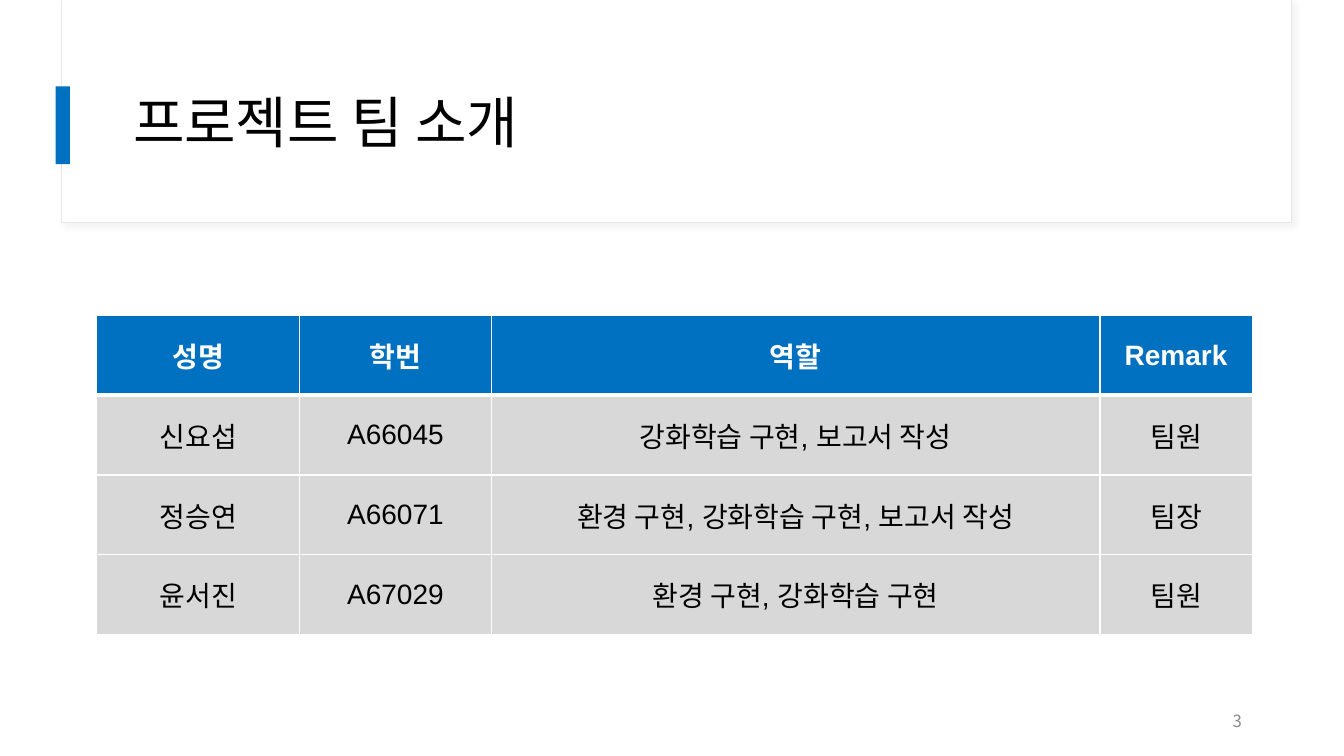
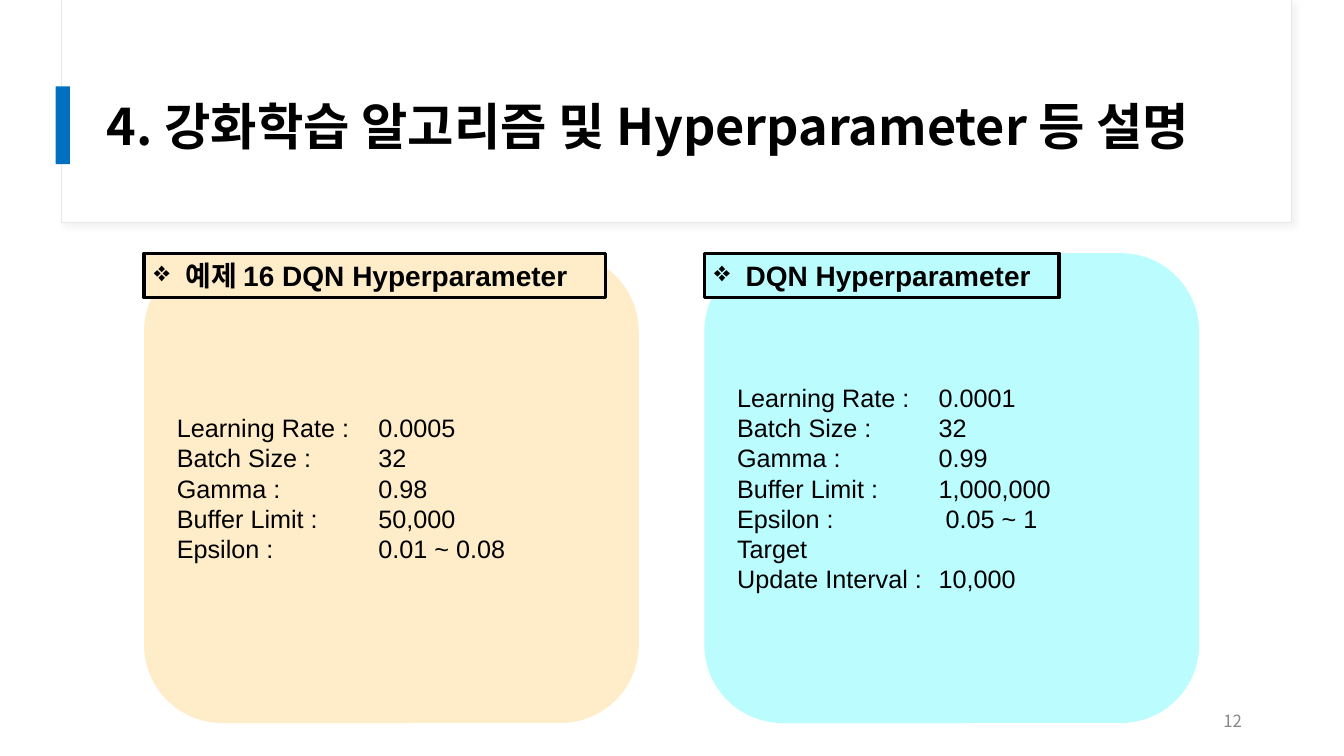
from lxml.etree import SubElement
from pptx import Presentation
from pptx.dml.color import RGBColor
from pptx.enum.shapes import MSO_SHAPE
from pptx.enum.text import MSO_ANCHOR, MSO_AUTO_SIZE, PP_ALIGN
from pptx.oxml import parse_xml
from pptx.oxml.ns import nsdecls, qn
from pptx.util import Cm, Pt

BLUE, WHITE, BLACK = "0070C0", "FFFFFF", "000000"
GREY, EDGE, NUMBER_GREY = "D8D8D8", "E8E8E8", "888888"
CREAM, AQUA = "FFEDCA", "BBFDFF"
HEADING_FONT, BODY_FONT = "Noto Sans CJK KR", "Arial"


# Shared helpers
def color(hex_code):
    return RGBColor.from_string(hex_code)


def cm_box(box):
    return [Cm(length) for length in box]


def place(shape, box):
    shape.left, shape.top, shape.width, shape.height = cm_box(box)


def style(paragraph, size, ink=BLACK, font=BODY_FONT, bold=False, align=PP_ALIGN.LEFT):
    paragraph.alignment = align
    for run in paragraph.runs:
        run.font.size, run.font.name, run.font.bold = Pt(size), font, bold
        run.font.color.rgb = color(ink)
        east_asian = SubElement(run.font._element, qn("a:ea"))
        east_asian.set("typeface", HEADING_FONT)


def add_block(slide, kind, box, fill, line=None, line_width=0.75):
    block = slide.shapes.add_shape(kind, *cm_box(box))
    block.shadow.inherit = False
    block.fill.solid()
    block.fill.fore_color.rgb = color(fill)
    if line:
        block.line.color.rgb = color(line)
        block.line.width = Pt(line_width)
    else:
        block.line.fill.background()
    return block


# Header panel and accent bar, kept on the layout behind every title
def add_header(layout, slide):
    panel = add_block(slide, MSO_SHAPE.RECTANGLE, (1.55, 0, 31.01, 5.61), WHITE, EDGE)
    effects = panel.element.spPr.find(qn("a:effectLst"))
    effects.append(parse_xml(
        f'<a:outerShdw {nsdecls("a")} blurRad="{Pt(4)}" dist="{Pt(3)}" dir="2700000" '
        f'algn="tl" rotWithShape="0"><a:srgbClr val="{GREY}">'
        '<a:alpha val="30000"/></a:srgbClr></a:outerShdw>'))
    accent = add_block(slide, MSO_SHAPE.RECTANGLE, (1.4, 2.18, 0.36, 1.96), BLUE)
    for number, part in enumerate((panel, accent), start=101):
        part.element.nvSpPr.cNvPr.set("id", str(number))
        layout.shapes.element.append(part.element)


def add_title(slide, text, left, width, size, bold=False, spacing=1.0):
    title = slide.shapes.title
    place(title, (left, 1.52, width, 3.28))
    frame = title.text_frame
    frame.text = text
    frame.auto_size = MSO_AUTO_SIZE.NONE
    frame.vertical_anchor = MSO_ANCHOR.MIDDLE
    style(frame.paragraphs[0], size, font=HEADING_FONT, bold=bold)
    frame.paragraphs[0].line_spacing = spacing


def add_page_number(slide, number):
    frame = slide.shapes.add_textbox(*cm_box((23.93, 17.65, 7.62, 1.02))).text_frame
    frame.word_wrap = True
    frame.vertical_anchor = MSO_ANCHOR.MIDDLE
    frame.text = str(number)
    style(frame.paragraphs[0], 12, NUMBER_GREY, HEADING_FONT, align=PP_ALIGN.RIGHT)


# Team table
def set_borders(cell, bottom):
    properties = cell._tc.get_or_add_tcPr()
    for side, width in (("L", 1), ("R", 1), ("T", 1), ("B", bottom)):
        properties.append(parse_xml(
            f'<a:ln{side} {nsdecls("a")} w="{Pt(width)}"><a:solidFill>'
            f'<a:srgbClr val="{WHITE}"/></a:solidFill></a:ln{side}>'))


def add_team_table(slide, left, top, column_widths, row_height, rows):
    box = (left, top, sum(column_widths), row_height * len(rows))
    team = slide.shapes.add_table(len(rows), len(column_widths), *cm_box(box)).table
    for column, width in zip(team.columns, column_widths):
        column.width = Cm(width)
    for r, row in enumerate(rows):
        header = r == 0
        for c, text in enumerate(row):
            cell = team.cell(r, c)
            set_borders(cell, bottom=3 if header else 1)
            cell.fill.solid()
            cell.fill.fore_color.rgb = color(BLUE if header else GREY)
            cell.vertical_anchor = MSO_ANCHOR.MIDDLE
            cell.text_frame.text = text
            style(cell.text_frame.paragraphs[0], 20, WHITE if header else BLACK,
                  bold=header, align=PP_ALIGN.CENTER)


# Hyperparameter card: rounded panel with a framed heading on its top left corner
def add_card(slide, box, fill, heading, heading_width, settings):
    left, top = box[:2]
    panel = add_block(slide, MSO_SHAPE.ROUNDED_RECTANGLE, box, fill)
    frame = panel.text_frame
    frame.vertical_anchor = MSO_ANCHOR.MIDDLE
    frame.text = "\n".join(settings)
    for paragraph in frame.paragraphs:
        paragraph.text = paragraph.text.replace("|", "\v")
        style(paragraph, 18)
        tabs = SubElement(paragraph._p.get_or_add_pPr(), qn("a:tabLst"))
        SubElement(tabs, qn("a:tab"), pos=str(Cm(5.08)), algn="l")

    tag = add_block(slide, MSO_SHAPE.RECTANGLE, (left, top, heading_width, 1.12),
                    fill, BLACK, 2.25)
    tag.text_frame.text = heading
    tag.text_frame.vertical_anchor = MSO_ANCHOR.TOP
    tag.text_frame.auto_size = MSO_AUTO_SIZE.SHAPE_TO_FIT_TEXT
    label = tag.text_frame.paragraphs[0]
    style(label, 20, bold=True)
    properties = label._p.get_or_add_pPr()
    properties.set("marL", str(Cm(0.79)))
    properties.set("indent", str(-Cm(0.79)))
    bullet_color = SubElement(properties, qn("a:buClr"))
    SubElement(bullet_color, qn("a:srgbClr"), val=BLACK)
    SubElement(properties, qn("a:buChar"), char="❖")


# Slides
def build_team_slide(slide):
    add_title(slide, "프로젝트 팀 소개", 3.1, 28.24, 40, spacing=0.9)
    add_page_number(slide, 3)
    add_team_table(slide, 2.44, 7.95, (5.11, 4.83, 15.34, 3.84), 2.01, (
        ("성명", "학번", "역할", "Remark"),
        ("신요섭", "A66045", "강화학습 구현, 보고서 작성", "팀원"),
        ("정승연", "A66071", "환경 구현, 강화학습 구현, 보고서 작성", "팀장"),
        ("윤서진", "A67029", "환경 구현, 강화학습 구현", "팀원"),
    ))


def build_hyperparameter_slide(slide):
    add_title(slide, "4. 강화학습 알고리즘 및 Hyperparameter 등 설명", 2.44, 29.39, 36, bold=True)
    add_page_number(slide, 12)
    cards = (
        (CREAM, "예제 16 DQN Hyperparameter", 11.63, (
            "Learning Rate :\t0.0005", "Batch Size :\t32", "Gamma : \t0.98",
            "Buffer Limit : \t50,000", "Epsilon : \t0.01 ~ 0.08")),
        (AQUA, "DQN Hyperparameter", 8.94, (
            "Learning Rate :\t0.0001", "Batch Size :\t32", "Gamma : \t0.99",
            "Buffer Limit : \t1,000,000", "Epsilon : \t 0.05 ~ 1",
            "Target|Update Interval : \t10,000")),
    )
    width, gap = 12.47, 1.65
    for position, card in enumerate(cards):
        add_card(slide, (3.63 + position * (width + gap), 6.38, width, 11.84), *card)


deck = Presentation()
deck.slide_width, deck.slide_height = Cm(33.87), Cm(19.05)
title_only = deck.slide_layouts[5]
team_slide = deck.slides.add_slide(title_only)
add_header(title_only, team_slide)
build_team_slide(team_slide)
build_hyperparameter_slide(deck.slides.add_slide(title_only))
deck.save("out.pptx")
